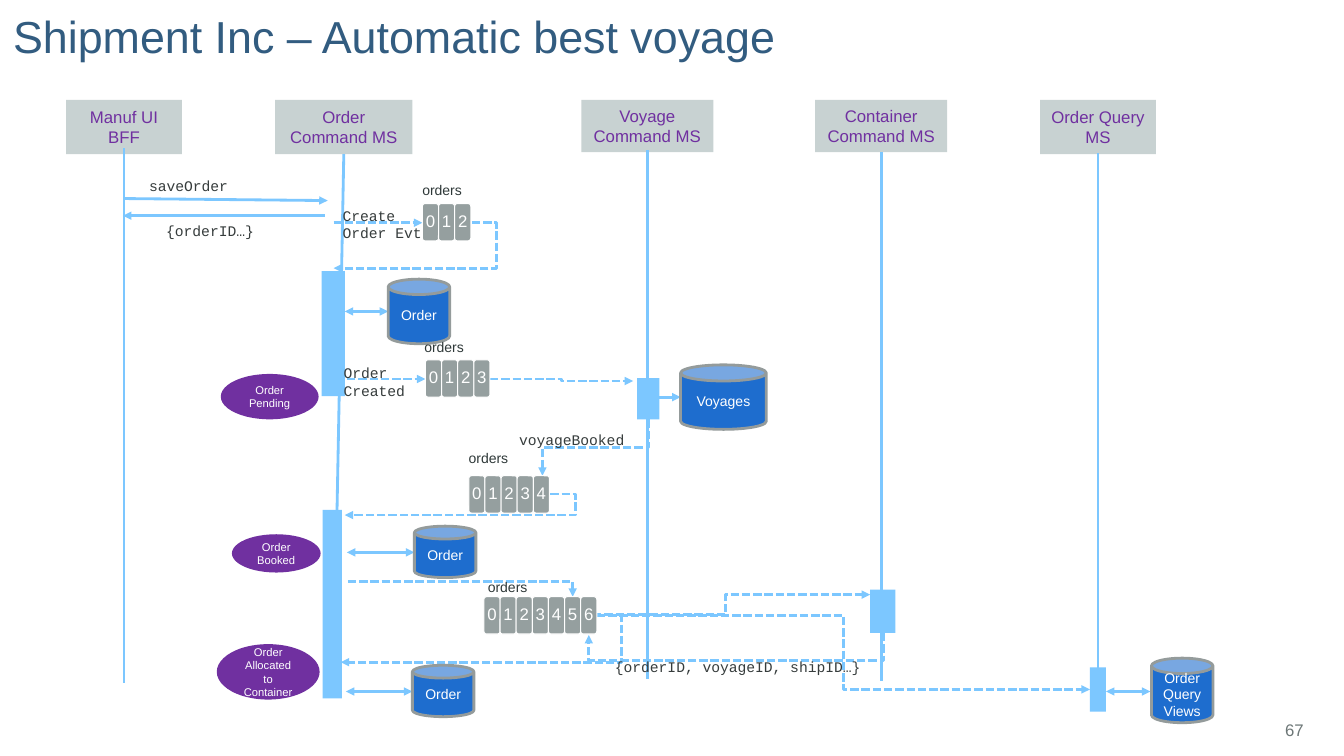
from lxml.etree import SubElement
from pptx import Presentation
from pptx.dml.color import RGBColor
from pptx.enum.dml import MSO_LINE
from pptx.enum.shapes import MSO_CONNECTOR, MSO_SHAPE
from pptx.enum.text import MSO_ANCHOR, MSO_AUTO_SIZE, PP_ALIGN
from pptx.oxml.ns import qn
from pptx.util import Inches, Pt

# Content: all lengths in inches
COLORS = {
    "title": "325C80", "header": "C8D2D2", "state": "7030A0", "line": "7CC7FF",
    "store": "1E6DCE", "store_edge": "949B9B", "cell": "959F9F", "white": "FFFFFF",
    "label": "2E3838", "message": "363C3C", "number": "6D7777",
}
TITLE = "Shipment Inc – Automatic best voyage"
PAGE_NUMBER = "67"
HEADER_TOP = 0.99
CELL_PITCH, CELL_WIDTH, CELL_HEIGHT = 0.16, 0.16, 0.37

# name, centre, width, height, lifeline top, lifeline foot (x, y)
PARTICIPANTS = [
    ("Manuf UI BFF", 1.23, 1.15, 0.54, 1.47, (1.23, 6.78)),
    ("Order Command MS", 3.41, 1.36, 0.54, 1.53, (3.31, 6.78)),
    ("Voyage Command MS", 6.42, 1.31, 0.52, 1.49, (6.42, 6.74)),
    ("Container Command MS", 8.74, 1.31, 0.52, 1.51, (8.74, 6.76)),
    ("Order Query MS", 10.89, 1.15, 0.54, 1.52, (10.89, 6.77)),
]
# left, top, width, height
ACTIVATIONS = [
    (3.19, 2.69, 0.23, 1.24), (3.2, 5.06, 0.19, 1.87), (6.32, 3.75, 0.22, 0.41),
    (8.63, 5.85, 0.25, 0.43), (10.81, 6.62, 0.16, 0.44),
]
STORES = [
    ("Order", 3.85, 2.77, 0.61, 0.64),
    ("Voyages", 6.75, 3.62, 0.85, 0.64),
    ("Order", 4.11, 5.22, 0.61, 0.51),
    ("Order", 4.09, 6.6, 0.61, 0.51),
    ("Order\nQuery\nViews", 11.42, 6.53, 0.61, 0.64),
]
STATES = [
    ("Order Pending", 2.19, 3.71, 0.97, 0.45),
    ("Order Booked", 2.3, 5.3, 0.88, 0.38),
    ("Order Allocated to Container", 2.15, 6.39, 1.02, 0.55),
]
# first cell (left, top), number of cells, caption (left, top)
QUEUES = [
    ((4.19, 2.02), 3, (4.09, 1.75)),
    ((4.22, 3.57), 4, (4.11, 3.31)),
    ((4.65, 4.72), 5, (4.55, 4.41)),
    ((4.8, 5.92), 7, (4.74, 5.69)),
]
# text, left, top, width, height
MESSAGES = [
    ("saveOrder", 1.38, 1.71, 1.04, 0.29),
    ("{orderID…}", 1.55, 2.15, 1.1, 0.28),
    ("Create\nOrder Evt", 3.3, 2, 1.01, 0.45),
    ("Order\nCreated", 3.31, 3.56, 0.83, 0.45),
    ("voyageBooked", 5.05, 4.22, 1.27, 0.28),
    ("{orderID, voyageID, shipID…}", 6, 6.48, 2.71, 0.28),
]
CALLS = [((1.23, 1.97), (3.25, 1.99)), ((3.22, 2.14), (1.22, 2.14))]
PUBLISHED = [((3.31, 2.21), (4.19, 2.21)), ((3.33, 3.76), (4.22, 3.76))]
# left, right, height on the slide
STORE_ACCESS = [
    (3.42, 3.85, 3.09), (6.4, 6.75, 3.94), (3.44, 4.11, 5.48),
    (3.43, 4.09, 6.86), (10.97, 11.41, 6.86),
]
# begin, end, x of the upright middle part
SIDEWAYS_EVENTS = [
    ((4.68, 2.21), (3.31, 2.66), 4.93),
    ((4.86, 3.76), (6.28, 3.78), 5.57),
    ((5.46, 4.9), (3.42, 5.11), 5.71),
    ((5.77, 6.1), (8.63, 5.9), 7.2),
    ((5.92, 6.11), (3.38, 6.57), 6.17),
    ((5.92, 6.11), (10.81, 6.84), 8.37),
]
# begin, end, y of the level middle part; each runs down and to the left
DOWNWARD_EVENTS = [
    ((6.43, 4.16), (5.38, 4.72), 4.44),
    ((8.76, 6.28), (5.84, 6.3), 6.55),
]
CORNER_EVENT = ((3.45, 5.77), (5.68, 5.92))

presentation = Presentation()
presentation.slide_width, presentation.slide_height = Inches(13.33), Inches(7.5)
slide = presentation.slides.add_slide(presentation.slide_layouts[5])


def color(name):
    return RGBColor.from_string(COLORS[name])


def write(shape, text, size, ink, font="Arial", align=PP_ALIGN.CENTER, spacing=None):
    shape.text_frame.text = text
    for paragraph in shape.text_frame.paragraphs:
        paragraph.alignment = align
        paragraph.line_spacing = spacing
        for run in paragraph.runs:
            run.font.size, run.font.name = Pt(size), font
            run.font.color.rgb = color(ink)


def add_box(kind, left, top, width, height, fill, edge=None, edge_width=2):
    shape = slide.shapes.add_shape(kind, *map(Inches, (left, top, width, height)))
    shape.shadow.inherit = False
    shape.fill.solid()
    shape.fill.fore_color.rgb = color(fill)
    if edge:
        shape.line.color.rgb = color(edge)
        shape.line.width = Pt(edge_width)
    else:
        shape.line.fill.background()
    return shape


def add_label(text, left, top, width, height, size, ink, font="Arial"):
    label = slide.shapes.add_textbox(*map(Inches, (left, top, width, height)))
    label.text_frame.word_wrap = False
    label.text_frame.auto_size = MSO_AUTO_SIZE.SHAPE_TO_FIT_TEXT
    write(label, text, size, ink, font, PP_ALIGN.LEFT)


def add_line(begin, end, ends=("tailEnd",), dashed=False, kind=MSO_CONNECTOR.STRAIGHT):
    connector = slide.shapes.add_connector(kind, *map(Inches, (*begin, *end)))
    connector.line.color.rgb = color("line")
    connector.line.width = Pt(2)
    if dashed:
        connector.line.dash_style = MSO_LINE.SQUARE_DOT
    properties = connector._element.spPr
    for name in ends:
        SubElement(properties.find(qn("a:ln")), qn(f"a:{name}"), type="triangle")
    SubElement(properties, qn("a:effectLst"))
    return connector


def add_elbow(begin, end, bend=None):
    connector = add_line(begin, end, dashed=True, kind=MSO_CONNECTOR.ELBOW)
    geometry = connector._element.spPr.find(qn("a:prstGeom"))
    if bend is None:
        geometry.set("prst", "bentConnector2")
    else:
        adjustments = geometry.find(qn("a:avLst"))
        SubElement(adjustments, qn("a:gd"), name="adj1", fmla=f"val {round(bend * 100000)}")
    return connector


# Title and page number
title = slide.shapes.title
title.left, title.top, title.width, title.height = map(Inches, (0.13, 0.03, 7.78, 0.59))
frame = title.text_frame
frame.auto_size, frame.vertical_anchor = MSO_AUTO_SIZE.NONE, MSO_ANCHOR.BOTTOM
frame.margin_left, frame.margin_bottom = 0, 0
write(title, TITLE, 32, "title", align=PP_ALIGN.LEFT, spacing=0.85)
number = slide.shapes.add_textbox(*map(Inches, (12.45, 7.04, 0.58, 0.4)))
number.text_frame.word_wrap = True
number.text_frame.vertical_anchor = MSO_ANCHOR.MIDDLE
write(number, PAGE_NUMBER, 12, "number", align=PP_ALIGN.RIGHT)

# Participants and lifelines
for name, centre, width, height, line_top, foot in PARTICIPANTS:
    header = add_box(MSO_SHAPE.RECTANGLE, centre - width / 2, HEADER_TOP, width, height, "header")
    write(header, name, 12, "state")
    add_line((centre, line_top), foot, ends=())

# Calls, store access and events
for begin, end in CALLS:
    add_line(begin, end)
for begin, end in PUBLISHED:
    add_line(begin, end, dashed=True)
for left, right, y in STORE_ACCESS:
    add_line((left, y), (right, y), ends=("headEnd", "tailEnd"))
for begin, end, middle in SIDEWAYS_EVENTS:
    add_elbow(begin, end, (middle - begin[0]) / (end[0] - begin[0]))
for (x1, y1), (x2, y2), middle in DOWNWARD_EVENTS:
    # A quarter turn about the centre swaps the two extents
    across, down = x1 - x2, y2 - y1
    x, y = (x1 + x2 - down) / 2, (y1 + y2 - across) / 2
    event = add_elbow((x, y), (x + down, y + across), (middle - y1) / down)
    event._element.spPr.find(qn("a:xfrm")).set("rot", "5400000")
add_elbow(*CORNER_EVENT)

# Activations, stores and order states
for bar in ACTIVATIONS:
    add_box(MSO_SHAPE.RECTANGLE, *bar, "line")
for name, *place in STORES:
    write(add_box(MSO_SHAPE.CAN, *place, "store", "store_edge"), name, 10, "white")
for name, *place in STATES:
    write(add_box(MSO_SHAPE.OVAL, *place, "state"), name, 8, "white")

# Event queues
for (left, top), count, caption in QUEUES:
    for index in range(count):
        cell = add_box(MSO_SHAPE.ROUNDED_RECTANGLE, left + index * CELL_PITCH, top,
                       CELL_WIDTH, CELL_HEIGHT, "cell", "white", 0.75)
        frame = cell.text_frame
        frame.margin_left = frame.margin_right = frame.margin_top = frame.margin_bottom = 0
        write(cell, str(index), 12, "white", spacing=0.9)
    add_label("orders", *caption, 0.6, 0.27, 10, "label")

# Message names
for text, *place in MESSAGES:
    add_label(text, *place, 10.5, "message", "Courier New")

presentation.save("out.pptx")
